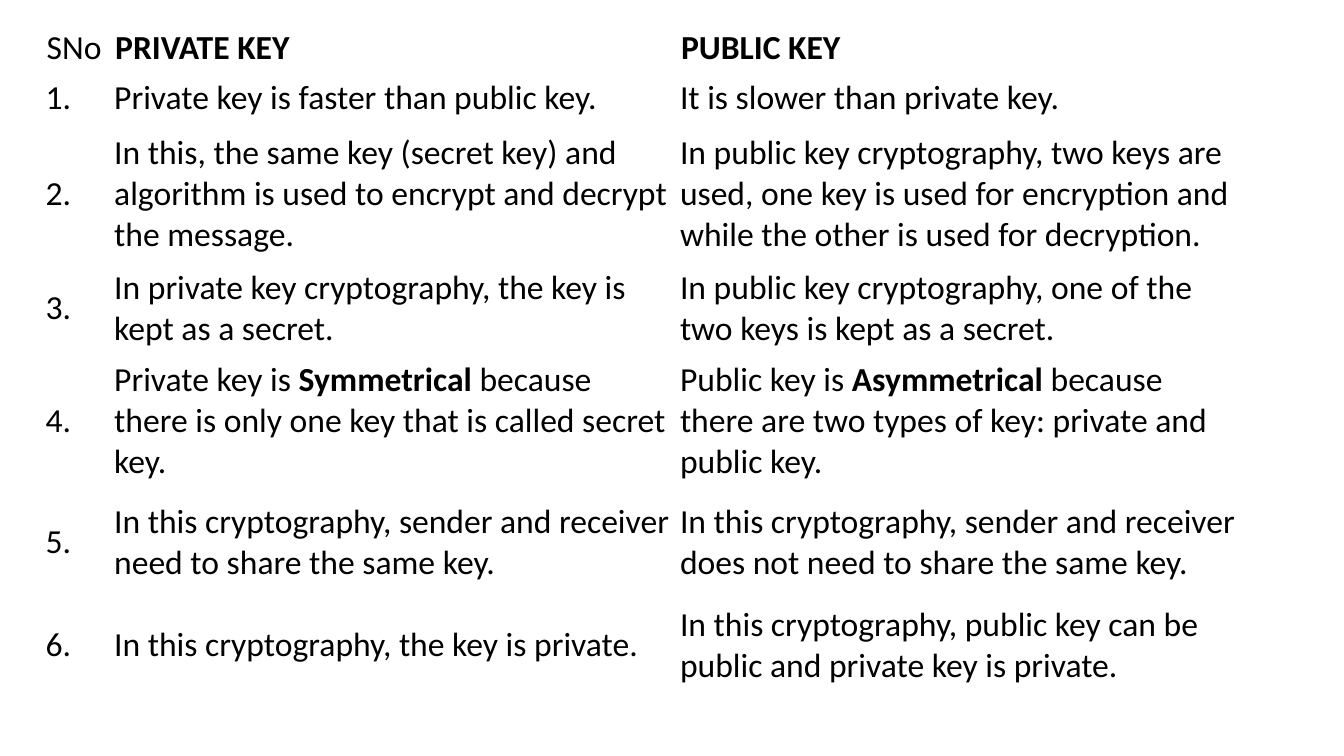
"""Build a slide with a table that compares private key and public key."""
from pptx import Presentation as Deck
from pptx.dml.color import RGBColor as Rgb
from pptx.enum.text import MSO_ANCHOR as Anchor
from pptx.util import Inches, Pt

HUES = {"ink": "000000", "paper": "FFFFFF"}
COLS = [5.1, 42.1, 42.15]
ROWS = [2.4, 7.2, 18.1, 10.8, 12.7, 14.5, 12.7]
PAIRS = [
    ("Private key is faster than public key.",
     "It is slower than private key."),
    ("In this, the same key (secret key) and algorithm is used to encrypt "
     "and decrypt the message.",
     "In public key cryptography, two keys are used, one key is used for "
     "encryption and while the other is used for decryption."),
    ("In private key cryptography, the key is kept as a secret.",
     "In public key cryptography, one of the two keys is kept as a secret."),
    ("Private key is\u00a0*Symmetrical*\u00a0because there is only one key "
     "that is called secret key.",
     "Public key is\u00a0*Asymmetrical*\u00a0because there are two types of "
     "key: private and public key."),
    ("In this cryptography, sender and receiver need to share the same key.",
     "In this cryptography, sender and receiver does not need to share the "
     "same key."),
    ("In this cryptography, the key is private.",
     "In this cryptography, public key can be public and private key is "
     "private."),
]
LINES = [("SNo", "*PRIVATE KEY*", "*PUBLIC KEY*")]
LINES += [(f"{num}.", *pair) for num, pair in enumerate(PAIRS, 1)]

deck = Deck()
deck.slide_width, deck.slide_height = Inches(13.33), Inches(7.5)
wide, high = deck.slide_width / 100, deck.slide_height / 100
slide = deck.slides.add_slide(deck.slide_layouts[6])

frame = slide.shapes.add_table(
    len(ROWS), len(COLS), int(3.1 * wide), int(3.2 * high),
    int(sum(COLS) * wide), int(87.9 * high))
table = frame.table
table.first_row = table.horz_banding = False
for col, share in zip(table.columns, COLS):
    col.width = int(share * wide)
for row, share in zip(table.rows, ROWS):
    row.height = int(share * high)
frame.height = int(87.9 * high)

for r, line in enumerate(LINES):
    side, edge = (0.05, 0.03) if r == 0 else (0.04, 0.05)
    for c, text in enumerate(line):
        cell = table.cell(r, c)
        cell.fill.solid()
        cell.fill.fore_color.rgb = Rgb.from_string(HUES["paper"])
        cell.vertical_anchor = Anchor.MIDDLE
        cell.margin_left = cell.margin_right = Inches(side)
        cell.margin_top = cell.margin_bottom = Inches(edge)
        para = cell.text_frame.paragraphs[0]
        para.font.name, para.font.size = "Calibri", Pt(24)
        para.font.color.rgb = Rgb.from_string(HUES["ink"])
        for n, part in enumerate(text.split("*")):
            if part:
                run = para.add_run()
                run.text = part
                run.font.bold = n % 2 == 1

deck.save("out.pptx")
